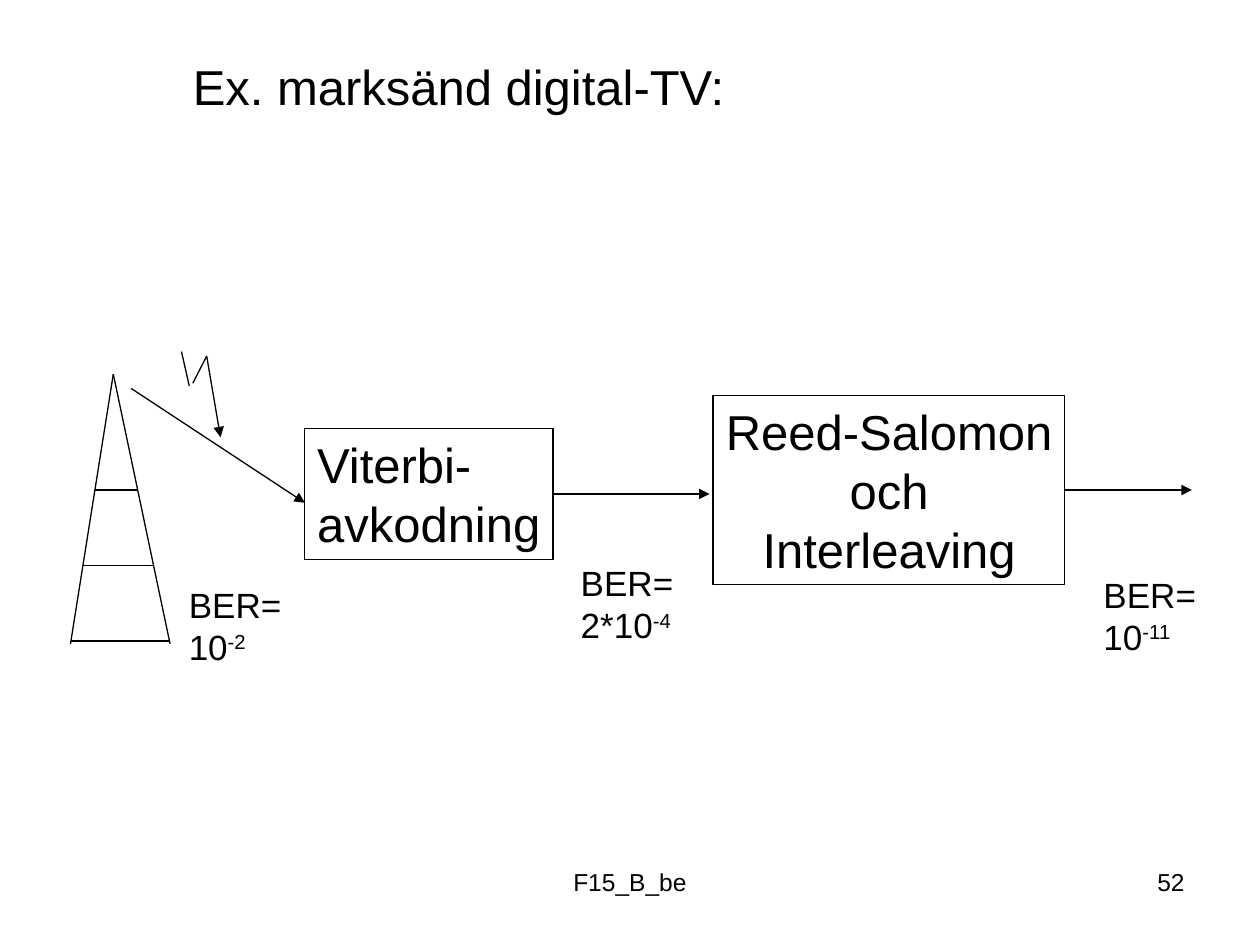
from dataclasses import dataclass

from lxml.etree import SubElement
from pptx import Presentation
from pptx.dml.color import RGBColor
from pptx.enum.shapes import MSO_CONNECTOR as Connector, MSO_SHAPE as Shape
from pptx.enum.text import MSO_ANCHOR as Anchor, MSO_AUTO_SIZE as AutoSize, PP_ALIGN as Align
from pptx.oxml.ns import qn
from pptx.util import Pt


@dataclass(frozen=True)
class Theme:
    font: str = "Arial"
    ink: RGBColor = RGBColor(0, 0, 0)
    heading: int = 28
    label: int = 20
    footer: int = 14
    leading: float = 1.2
    line: float = 0.75


THEME = Theme()


def place(shape, box):
    shape.left, shape.top, shape.width, shape.height = (Pt(value) for value in box)


def write(shape, lines, size, align=Align.LEFT, wrap=False):
    """Fill a shape with one paragraph per line; a ^ starts a superscript."""
    frame = shape.text_frame
    frame.auto_size = AutoSize.NONE
    frame.word_wrap = wrap
    frame.vertical_anchor = Anchor.TOP
    frame.margin_left = frame.margin_right = Pt(7.2)
    frame.margin_top = frame.margin_bottom = Pt(3.6)
    for index, line in enumerate(lines):
        paragraph = frame.paragraphs[0] if index == 0 else frame.add_paragraph()
        paragraph.alignment = align
        paragraph.line_spacing = Pt(size * THEME.leading)
        paragraph.space_before = Pt(0)
        paragraph.font.name = THEME.font
        paragraph.font.size = Pt(size)
        paragraph.font.color.rgb = THEME.ink
        base, _, exponent = line.partition("^")
        paragraph.add_run().text = base
        if exponent:
            run = paragraph.add_run()
            run.text = exponent
            run._r.get_or_add_rPr().set("baseline", "30000")


def add_text(slide, box, lines, size, align=Align.LEFT, wrap=False):
    shape = slide.shapes.add_textbox(*(Pt(value) for value in box))
    write(shape, lines, size, align, wrap)


def add_line(slide, start, end, arrow=False):
    points = (Pt(value) for value in (*start, *end))
    line = slide.shapes.add_connector(Connector.STRAIGHT, *points)
    line.line.color.rgb = THEME.ink
    line.line.width = Pt(THEME.line)
    if arrow:
        SubElement(line.line._get_or_add_ln(), qn("a:tailEnd"), type="triangle")
    SubElement(line._element.spPr, qn("a:effectLst"))
    return line


def add_title(slide, box, text):
    title = slide.shapes.title
    place(title, box)
    write(title, [text], THEME.heading)


def add_tower(slide, box):
    """Draw a mast with two legs and three rungs running between them."""
    left, top, width, height = box
    apex = left + 0.43 * width
    right, bottom = left + width, top + height
    for foot in (left, right):
        add_line(slide, (apex, top), (foot, bottom))
    for depth in (0.43, 0.71, 0.99):
        y = top + depth * height
        add_line(slide, (apex + depth * (left - apex), y),
                 (apex + depth * (right - apex), y))


def add_interference(slide, box):
    """Draw a jagged bolt that strikes the radio path."""
    left, top, width, height = box
    strokes = (((0, 0), (0.2, 0.4)),
               ((0.29, 0.37), (0.65, 0.05)),
               ((0.65, 0.06), (1, 1)))
    for index, stroke in enumerate(strokes):
        start, end = ((left + x * width, top + y * height) for x, y in stroke)
        add_line(slide, start, end, arrow=index == len(strokes) - 1)


def add_decoder(slide, box, lines, align, reach):
    """Add a decoder block and its output arrow, which extends by reach."""
    left, top, width, height = box
    block = slide.shapes.add_shape(Shape.RECTANGLE, *(Pt(value) for value in box))
    block.shadow.inherit = False
    block.fill.background()
    block.line.color.rgb = THEME.ink
    block.line.width = Pt(THEME.line)
    write(block, lines, THEME.heading, align)
    right, middle = left + width, top + height / 2
    arrow = add_line(slide, (right, middle), (right + reach, middle), arrow=True)
    arrow.begin_connect(block, 3)


def add_error_rates(slide, box, rates):
    """Place error-rate labels of one size at the given offsets in the box."""
    left, top, width, height = box
    for x, y, rate in rates:
        add_text(slide, (left + x, top + y, width, height), ["BER=", rate], THEME.label)


def add_footer(slide, box, text, number):
    left, top, width, height = box
    add_text(slide, (left, top, 228, height), [text], THEME.footer, Align.CENTER, True)
    add_text(slide, (left + width - 168, top, 168, height), [number],
             THEME.footer, Align.RIGHT, True)


def main():
    presentation = Presentation()
    presentation.slide_width, presentation.slide_height = Pt(720), Pt(540)
    slide = presentation.slides.add_slide(presentation.slide_layouts[5])

    add_title(slide, (103, 28.8, 319, 41), "Ex. marksänd digital-TV:")
    add_tower(slide, (40.3, 213.8, 56.9, 154.1))
    add_line(slide, (75, 222), (174.2, 287.3), arrow=True)
    add_interference(slide, (103.7, 200.9, 22.3, 49))
    add_decoder(slide, (174.2, 244.8, 141.8, 74.9),
                ["Viterbi-", "avkodning"], Align.LEFT, 89.4)
    add_decoder(slide, (407.5, 226, 201, 108),
                ["Reed-Salomon", "och", "Interleaving"], Align.CENTER, 72.6)
    add_error_rates(slide, (100.8, 317.5, 67, 55.4),
                    ((0, 12.3, "10^-2"), (224, 0, "2*10^-4"), (522.7, 6.5, "10^-11")))
    add_footer(slide, (246, 492, 438, 37.4), "F15_B_be", "52")

    presentation.save("out.pptx")


if __name__ == "__main__":
    main()
